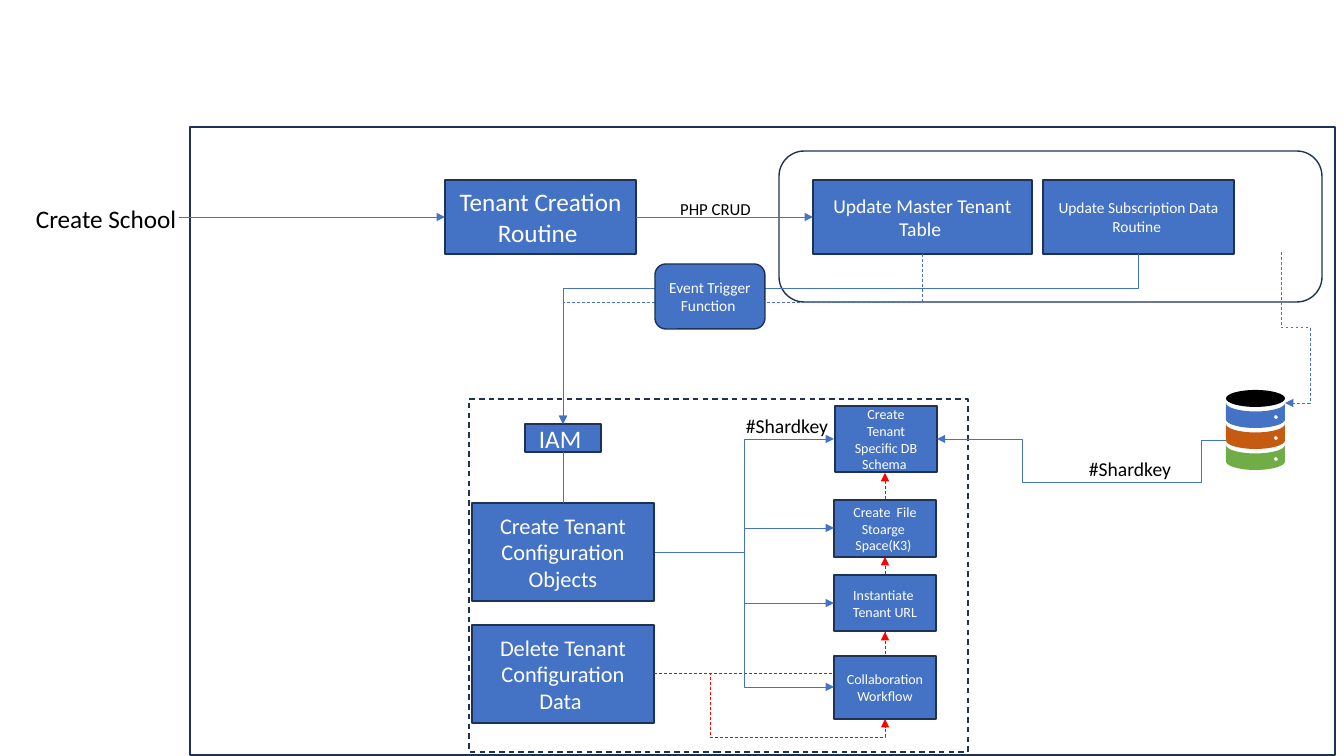
from math import cos, radians, sin

from lxml import etree
from pptx import Presentation
from pptx.dml.color import RGBColor
from pptx.enum.dml import MSO_LINE
from pptx.enum.shapes import MSO_CONNECTOR, MSO_SHAPE
from pptx.enum.text import MSO_ANCHOR, MSO_AUTO_SIZE, PP_ALIGN
from pptx.oxml.ns import qn
from pptx.util import Emu, Pt

RECT, ROUND = MSO_SHAPE.RECTANGLE, MSO_SHAPE.ROUNDED_RECTANGLE
STRAIGHT, ELBOW = MSO_CONNECTOR.STRAIGHT, MSO_CONNECTOR.ELBOW
LEFT, CENTER = PP_ALIGN.LEFT, PP_ALIGN.CENTER
TOP_SIDE, LEFT_SIDE, BOTTOM_SIDE, RIGHT_SIDE = range(4)
DASH = MSO_LINE.DASH
SCALE = 914400 / 100.8
BLUE, NAVY, RED, WHITE, BLACK = "4472C4", "1E3256", "FF0000", "FFFFFF", "000000"

# shape, box, dashed
FRAMES = [
    (RECT, (190, 127, 1145, 628), False),
    (RECT, (469, 399, 499, 353), True),
    (ROUND, (779, 151, 543, 151), False),
]
# name: box, text size, paragraphs
BOXES = {
    "routine": ((445, 180, 191, 74), 18, ["Tenant Creation Routine "]),
    "master": ((813, 180, 219, 74), 14, ["Update Master Tenant Table "]),
    "plan": ((1043, 180, 191, 74), 11, ["Update Subscription Data Routine "]),
    "iam": ((525, 424, 76, 28), 18, ["IAM "]),
    "objects": ((472, 503, 182, 98), 16, ["Create Tenant Configuration Objects"]),
    "delete": ((472, 625, 182, 98), 16, ["Delete Tenant Configuration Data "]),
    "schema": ((835, 406, 102, 66), 10, ["Create", "Tenant Specific DB Schema "]),
    "file": ((834, 500, 102, 57), 10, ["Create  File Stoarge ", "Space(K3) "]),
    "url": ((834, 575, 102, 56), 10, ["Instantiate ", "Tenant URL"]),
    "collab": ((834, 656, 102, 63), 10, ["Collaboration", "Workflow"]),
}
EVENT = ((655, 264, 110, 65), 11, ["Event Trigger Function "])
LABELS = [
    ((26, 198, 219, 40), 18, LEFT, "Create School"),
    ((670, 194, 91, 50), 12, CENTER, "PHP CRUD "),
    ((736, 409, 190, 34), 14, LEFT, "#Shardkey"),
    ((1079, 452, 190, 34), 14, LEFT, "#Shardkey"),
]
# from, to, bends, turn, adjustments in percent, colour, dashed
REMOVE, BUILD = (654, 673), (655, 552)
CLEAR = [(REMOVE, (885, y), 2, 0, [], RED, True) for y in (632, 473, 557)]
SETUP = [(BUILD, (834, y), 3, 0, [50], BLUE, False) for y in (439, 528, 603, 687)]
FLOWS = SETUP + [
    ((1138, 254), (563, 424), 3, 90, [20.2], BLUE, False),
    (REMOVE, (885, 719), 4, 0, [24.3, 139.4], RED, True),
    ((1226, 440), (937, 439), 5, 0, [8.4, -4300, 70.3], BLUE, False),
    ((1281, 252), (1285, 403), 4, 270, [50, 725], BLUE, True),
    ((922, 254), (563, 424), 3, 90, [28.3], BLUE, True),
]
DISK_LEFT, DISK_WIDTH, DISK_RISE = 1226, 59, 8.5
LID_MID, BAND_TOP, BAND_STEP, BAND_SIDE = 398.5, 403, 21, 16.5
BANDS = [BLUE, "C55A11", "70AD47"]

prs = Presentation()
prs.slide_width, prs.slide_height = Emu(round(1344 * SCALE)), Emu(round(756 * SCALE))
slide = prs.slides.add_slide(prs.slide_layouts[6])
shapes = slide.shapes


def px(*vals):
    return [Emu(round(v * SCALE)) for v in vals]


def rgb(code):
    return RGBColor.from_string(code)


def paint(shape, fill, edge=None, dashed=False):
    shape.shadow.inherit = False
    if fill:
        shape.fill.solid()
        shape.fill.fore_color.rgb = rgb(fill)
    else:
        shape.fill.background()
    if edge:
        shape.line.color.rgb = rgb(edge)
        shape.line.width = Pt(1)
        if dashed:
            shape.line.dash_style = DASH
    else:
        shape.line.fill.background()


def write(frame, lines, size, color, align):
    frame.word_wrap = True
    for i, line in enumerate(lines):
        para = frame.add_paragraph() if i else frame.paragraphs[0]
        para.alignment = align
        run = para.add_run()
        run.text = line
        run.font.name = "Calibri"
        run.font.size = Pt(size)
        run.font.color.rgb = rgb(color)


def add_box(kind, box, size, lines):
    shape = shapes.add_shape(kind, *px(*box))
    paint(shape, BLUE, NAVY)
    shape.text_frame.vertical_anchor = MSO_ANCHOR.MIDDLE
    write(shape.text_frame, lines, size, WHITE, CENTER)
    return shape


def style(link, color, dashed=False, arrow=True):
    link.line.color.rgb = rgb(color)
    link.line.width = Pt(0.5)
    if dashed:
        link.line.dash_style = DASH
    if arrow:
        etree.SubElement(link.line._get_or_add_ln(), qn("a:tailEnd"), type="triangle")
    etree.SubElement(link._element.spPr, qn("a:effectLst"))


def add_elbow(start, end, bends, turn, adjs, color, dashed):
    """Draw a bent arrow; its frame is turned about the middle of its ends."""
    (x1, y1), (x2, y2) = start, end
    midx, midy = (x1 + x2) / 2, (y1 + y2) / 2
    c, s = cos(radians(turn)), sin(radians(turn))
    dx = ((x2 - x1) * c + (y2 - y1) * s) / 2
    dy = ((y2 - y1) * c - (x2 - x1) * s) / 2
    link = shapes.add_connector(ELBOW, *px(midx - dx, midy - dy, midx + dx, midy + dy))
    link.rotation = turn
    geom = link._element.spPr.find(qn("a:prstGeom"))
    geom.set("prst", f"bentConnector{bends}")
    guides = geom.find(qn("a:avLst"))
    if guides is None:
        guides = etree.SubElement(geom, qn("a:avLst"))
    for i, adj in enumerate(adjs, 1):
        etree.SubElement(guides, qn("a:gd"), name=f"adj{i}",
                         fmla=f"val {round(adj * 1000)}")
    style(link, color, dashed)


def add_line(start, end, arrow=True):
    """Join two (box, side) ends; without a start, come from the school label."""
    link = shapes.add_connector(STRAIGHT, *px(179, 217, 445, 217))
    if start:
        link.begin_connect(*start)
    link.end_connect(*end)
    style(link, BLUE, arrow=arrow)


def curve(midx, midy, rx, ry, first, last):
    """List the knots and handles of the Bezier quarters between two angles."""
    way = 1 if last > first else -1
    pull = 0.55 * way
    knots = [(midx + rx, midy)] if first == 0 else [(midx - rx, midy)]
    for deg in range(first, last, 90 * way):
        a, b = radians(deg), radians(deg + 90 * way)
        for x, y in ((cos(a) - pull * sin(a), sin(a) + pull * cos(a)),
                     (cos(b) + pull * sin(b), sin(b) - pull * cos(b)),
                     (cos(b), sin(b))):
            knots.append((midx + rx * x, midy + ry * y))
    return knots


def add_round(rings, color):
    """Fill outlines made of curves; each ring lists curves joined by lines."""
    first = rings[0][0][0]
    build = shapes.build_freeform(*px(*first), scale=1.0)
    for i, ring in enumerate(rings):
        dots = [px(*dot) for part in ring for dot in part]
        if i:
            build.move_to(*dots[0])
        build.add_line_segments(dots[1:], close=True)
    shape = build.convert_to_shape()
    lines = iter(list(shape._element.iter(qn("a:lnTo"))))
    for ring in rings:
        for i, part in enumerate(ring):
            if i:
                next(lines)
            for _ in range(len(part) // 3):
                bend = next(lines)
                bend.tag = qn("a:cubicBezTo")
                for other in (next(lines), next(lines)):
                    bend.append(other[0])
                    other.getparent().remove(other)
    paint(shape, color)


def add_disks():
    half = DISK_WIDTH / 2
    midx = DISK_LEFT + half
    add_round([[curve(midx, LID_MID, half, DISK_RISE, 0, 360)]], BLACK)
    for i, color in enumerate(BANDS):
        top = BAND_TOP + i * BAND_STEP
        rim = [curve(midx, top, half, DISK_RISE, 180, 0),
               curve(midx, top + BAND_SIDE, half, DISK_RISE, 0, 180)]
        light = [curve(DISK_LEFT + 50, top + 14, 2, 2, 0, 360)]
        add_round([rim, light], color)


for flow in CLEAR:
    add_elbow(*flow)
for kind, box, dashed in FRAMES:
    paint(shapes.add_shape(kind, *px(*box)), None, NAVY, dashed)
made = {name: add_box(RECT, *item) for name, item in BOXES.items()}
add_line(None, (made["routine"], LEFT_SIDE))
add_line((made["routine"], RIGHT_SIDE), (made["master"], LEFT_SIDE))
add_line((made["iam"], BOTTOM_SIDE), (made["objects"], TOP_SIDE), arrow=False)
add_disks()
for flow in FLOWS:
    add_elbow(*flow)
for box, size, align, text in LABELS:
    label = shapes.add_textbox(*px(*box)).text_frame
    label.auto_size = MSO_AUTO_SIZE.SHAPE_TO_FIT_TEXT
    write(label, [text], size, BLACK, align)
add_box(ROUND, *EVENT)
prs.save("out.pptx")
